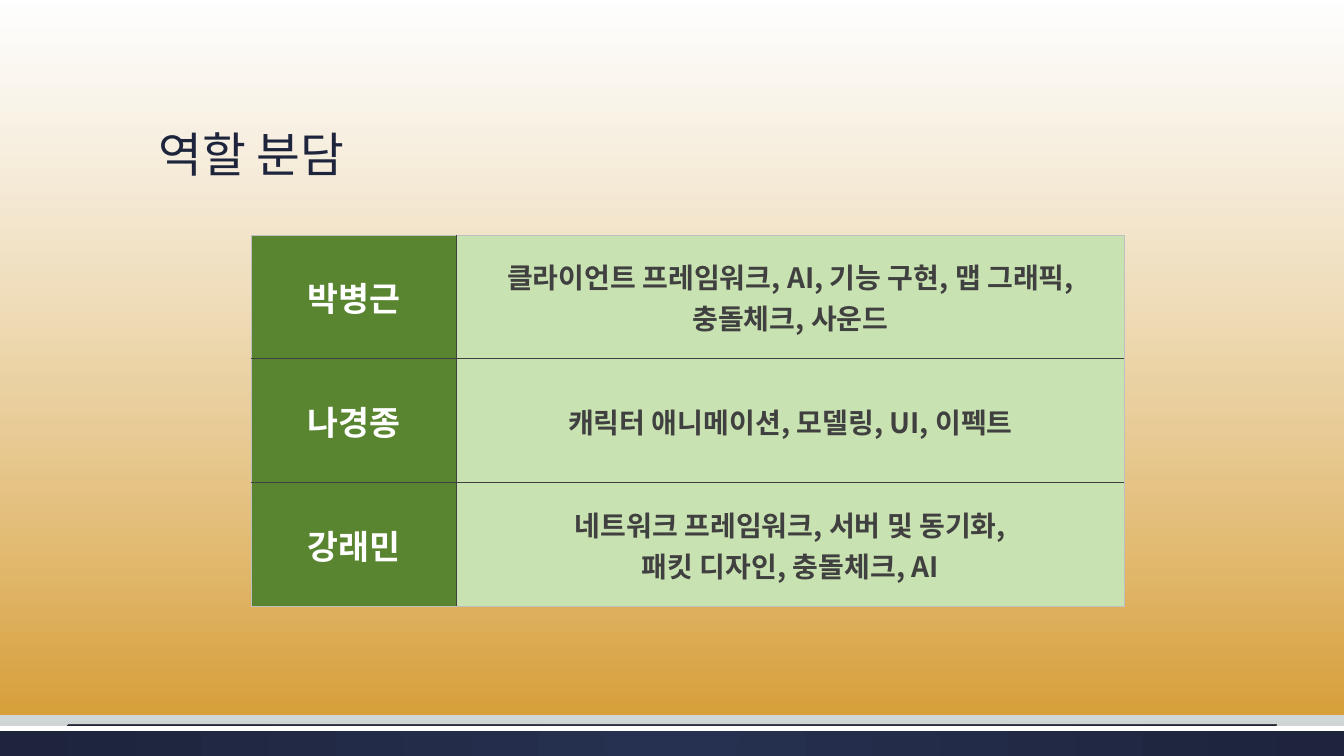
from dataclasses import dataclass

import pptx
import pptx.dml.color
import pptx.enum.shapes
import pptx.enum.text
import pptx.oxml
import pptx.oxml.ns
import pptx.util

Inches = pptx.util.Inches
Pt = pptx.util.Pt
Align = pptx.enum.text.PP_ALIGN
Anchor = pptx.enum.text.MSO_ANCHOR


@dataclass(frozen=True)
class Theme:
    font: str = "Noto Sans CJK KR"
    navy: str = "1D243C"
    navy_light: str = "263050"
    white: str = "FFFFFF"
    dark: str = "404040"
    outline: str = "BFBFBF"
    green: str = "598531"
    green_light: str = "C9E2B1"
    amber: str = "DA8C00"
    mist: str = "E5E8E8"
    grey: str = "CDD2D2"
    title_size: int = 34
    name_size: int = 24
    duty_size: int = 20


@dataclass(frozen=True)
class Stop:
    position: int
    color: str
    opacity: int = 100


@dataclass(frozen=True)
class Band:
    top: float
    width: float
    height: float
    stops: tuple[Stop, ...]
    radial: bool = False


@dataclass(frozen=True)
class Member:
    name: str
    duties: tuple[str, ...]


THEME = Theme()
BACKDROP = (Stop(0, THEME.white), Stop(72, THEME.mist), Stop(100, THEME.grey))
BANDS = (
    Band(7.2, 13.33, 0.3, (Stop(0, THEME.navy_light), Stop(100, THEME.navy)), True),
    Band(7.2, 13.33, 0.05, (Stop(0, THEME.white), Stop(100, THEME.white))),
    Band(0, 13.37, 7.09, (Stop(0, THEME.white, 51), Stop(100, THEME.amber, 73))),
)
MEMBERS = (
    Member("박병근", ("클라이언트 프레임워크, AI, 기능 구현, 맵 그래픽, 충돌체크, 사운드",)),
    Member("나경종", ("캐릭터 애니메이션, 모델링, UI, 이펙트",)),
    Member("강래민", ("네트워크 프레임워크, 서버 및 동기화,", "패킷 디자인, 충돌체크, AI")),
)
COLUMN_WIDTHS = (2.04, 6.62)
ROW_HEIGHT = 1.23


def rgb(color: str) -> pptx.dml.color.RGBColor:
    return pptx.dml.color.RGBColor.from_string(color)


def drawing_xml(tag: str, attributes: str, body: str):
    namespace = pptx.oxml.ns.nsdecls("a")
    return pptx.oxml.parse_xml(f"<a:{tag} {namespace} {attributes}>{body}</a:{tag}>")


def apply_gradient(fill, element, stops: tuple[Stop, ...], radial: bool = False) -> None:
    fill.solid()
    fill.fore_color.rgb = rgb(stops[0].color)
    entries = "".join(
        f'<a:gs pos="{stop.position * 1000}"><a:srgbClr val="{stop.color}">'
        f'<a:alpha val="{stop.opacity * 1000}"/></a:srgbClr></a:gs>'
        for stop in stops
    )
    direction = '<a:lin ang="5400000" scaled="0"/>'
    if radial:
        center = '<a:fillToRect l="50000" t="50000" r="50000" b="50000"/>'
        direction = f'<a:path path="circle">{center}</a:path>'
    solid = element.xpath(".//a:solidFill")[0]
    gradient = drawing_xml("gradFill", 'rotWithShape="1"', f"<a:gsLst>{entries}</a:gsLst>{direction}")
    solid.getparent().replace(solid, gradient)


def write_text(frame, lines: tuple[str, ...], *, size: int, color: str, bold: bool = False,
               align=Align.CENTER, spacing: float = 1.0) -> None:
    frame.word_wrap = True
    for index, line in enumerate(lines):
        paragraph = frame.paragraphs[0] if index == 0 else frame.add_paragraph()
        paragraph.alignment = align
        paragraph.line_spacing = spacing
        run = paragraph.add_run()
        run.text = line
        run.font.size = Pt(size)
        run.font.bold = bold
        run.font.name = THEME.font
        run.font.color.rgb = rgb(color)
        run.font._element.append(drawing_xml("ea", f'typeface="{THEME.font}"', ""))


def draw_band(slide, band: Band) -> None:
    shape = slide.shapes.add_shape(
        pptx.enum.shapes.MSO_SHAPE.RECTANGLE,
        0, Inches(band.top), Inches(band.width), Inches(band.height),
    )
    shape.shadow.inherit = False
    shape.line.fill.background()
    apply_gradient(shape.fill, shape._element.spPr, band.stops, band.radial)


def draw_footer_rule(slide) -> None:
    rule = slide.shapes.add_connector(
        pptx.enum.shapes.MSO_CONNECTOR.STRAIGHT,
        Inches(0.67), Inches(7.19), Inches(12.67), Inches(7.19),
    )
    rule.line.color.rgb = rgb(THEME.dark)
    rule.line.width = Pt(0.75)
    rule._element.spPr.append(drawing_xml("effectLst", "", ""))


def draw_title(slide) -> None:
    title = slide.shapes.title
    slide.shapes._spTree.append(title._element)
    title.left, title.top = Inches(1.47), Inches(0.51)
    title.width, title.height = Inches(10.4), Inches(1.35)
    title.text_frame.auto_size = pptx.enum.text.MSO_AUTO_SIZE.NONE
    title.text_frame.vertical_anchor = Anchor.BOTTOM
    write_text(title.text_frame, ("역할 분담",), size=THEME.title_size,
               color=THEME.navy, align=Align.LEFT, spacing=0.9)


def set_borders(cell, row: int, column: int) -> None:
    outer_edges = {
        "L": column == 0,
        "R": column == len(COLUMN_WIDTHS) - 1,
        "T": row == 0,
        "B": row == len(MEMBERS) - 1,
    }
    properties = cell._tc.get_or_add_tcPr()
    for index, (side, outer) in enumerate(outer_edges.items()):
        color, width = (THEME.outline, 0.5) if outer else (THEME.dark, 1)
        fill = f'<a:solidFill><a:srgbClr val="{color}"/></a:solidFill>'
        properties.insert(index, drawing_xml(f"ln{side}", f'w="{Pt(width)}"', fill))


def draw_roles(slide) -> None:
    table = slide.shapes.add_table(
        len(MEMBERS), len(COLUMN_WIDTHS), Inches(2.49), Inches(2.33),
        Inches(sum(COLUMN_WIDTHS)), Inches(ROW_HEIGHT * len(MEMBERS)),
    ).table
    table.first_row = False
    table.horz_banding = False
    for column, width in zip(table.columns, COLUMN_WIDTHS):
        column.width = Inches(width)
    for row, member in enumerate(MEMBERS):
        table.rows[row].height = Inches(ROW_HEIGHT)
        contents = (
            ((member.name,), THEME.name_size, THEME.white, THEME.green),
            (member.duties, THEME.duty_size, THEME.dark, THEME.green_light),
        )
        for column, (lines, size, color, fill) in enumerate(contents):
            cell = table.cell(row, column)
            cell.vertical_anchor = Anchor.MIDDLE
            cell.fill.solid()
            cell.fill.fore_color.rgb = rgb(fill)
            set_borders(cell, row, column)
            write_text(cell.text_frame, lines, size=size, color=color, bold=True)


def main() -> None:
    presentation = pptx.Presentation()
    presentation.slide_width = Inches(13.33)
    presentation.slide_height = Inches(7.5)
    slide = presentation.slides.add_slide(presentation.slide_layouts.get_by_name("Title Only"))
    apply_gradient(slide.background.fill, slide._element.cSld, BACKDROP)
    for band in BANDS:
        draw_band(slide, band)
    draw_footer_rule(slide)
    draw_title(slide)
    draw_roles(slide)
    presentation.save("out.pptx")


if __name__ == "__main__":
    main()
